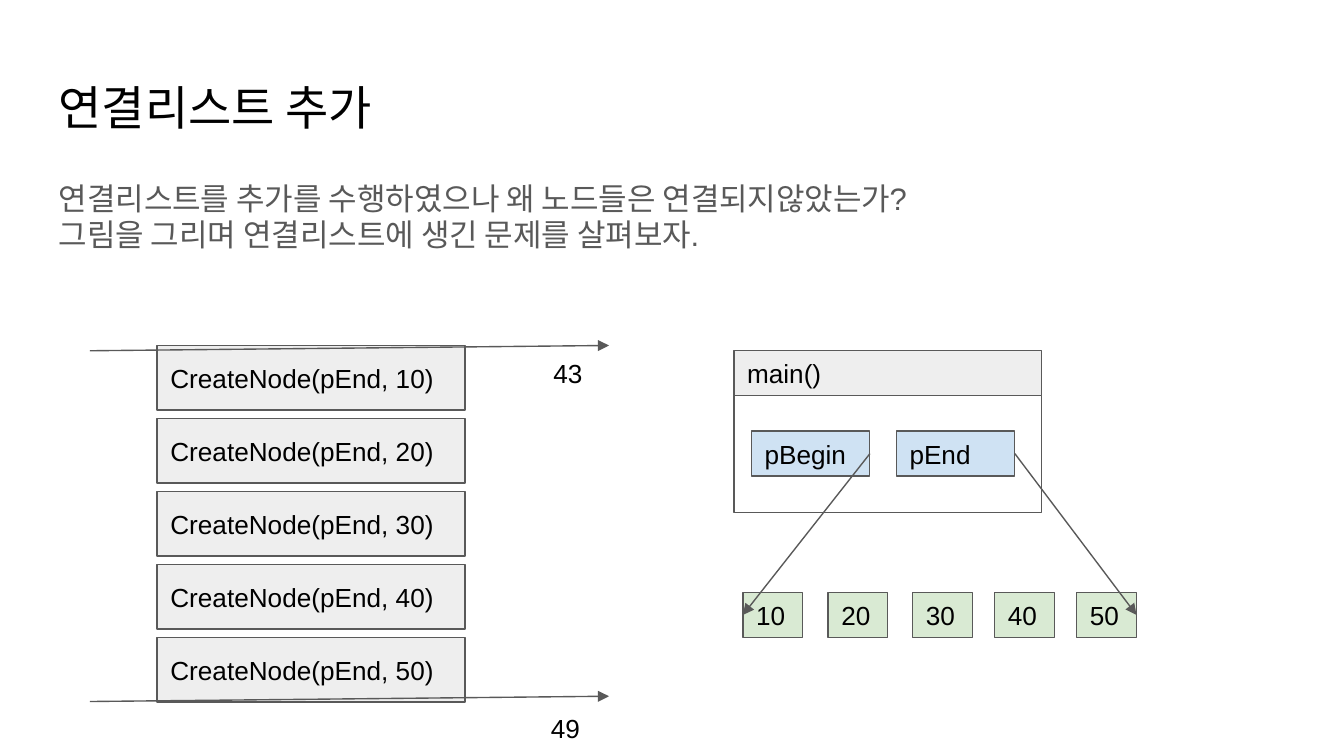
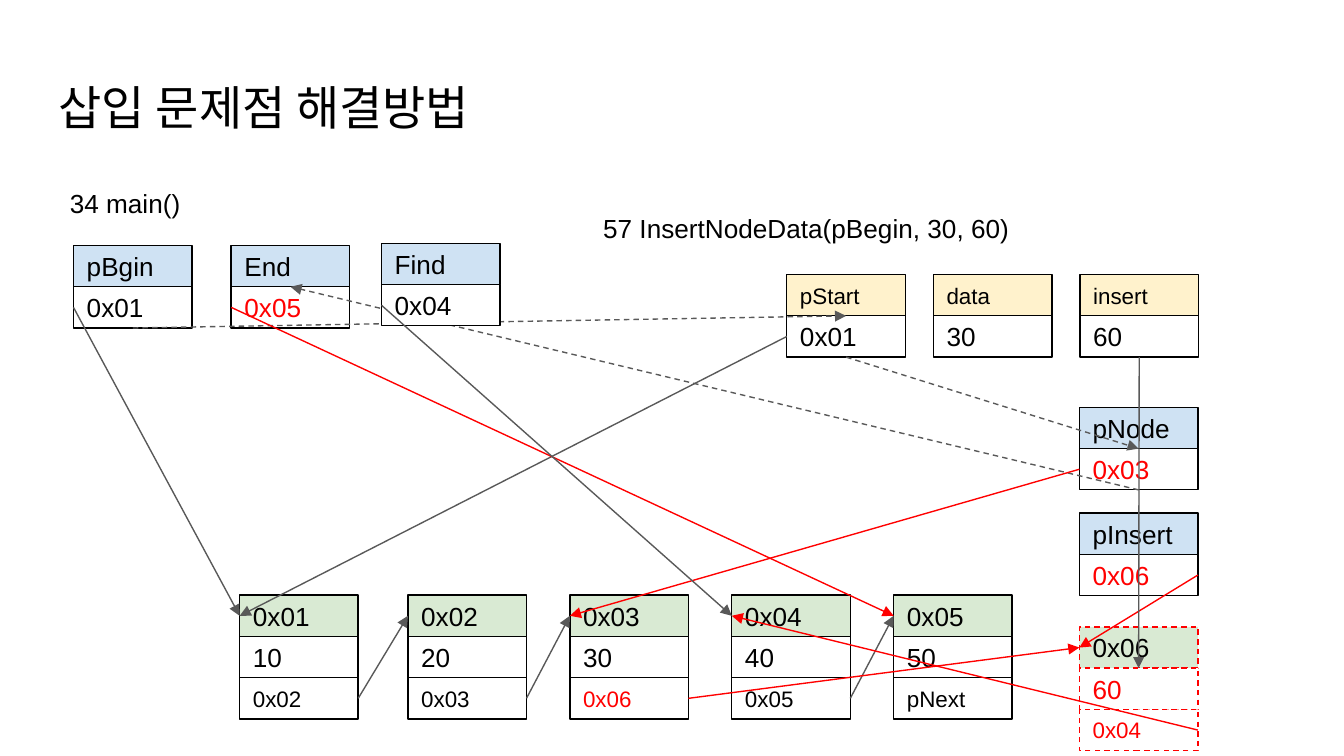
from lxml import etree
from pptx import Presentation
from pptx.dml.color import RGBColor
from pptx.enum.dml import MSO_LINE
from pptx.enum.shapes import MSO_CONNECTOR, MSO_SHAPE
from pptx.enum.text import MSO_ANCHOR, MSO_AUTO_SIZE, PP_ALIGN
from pptx.oxml.ns import qn
from pptx.util import Cm, Pt

BLACK = RGBColor(0x00, 0x00, 0x00)
WHITE = RGBColor(0xFF, 0xFF, 0xFF)
GRAY = RGBColor(0x59, 0x59, 0x59)
LIGHT_GRAY = RGBColor(0xEE, 0xEE, 0xEE)
BLUE = RGBColor(0xCF, 0xE2, 0xF3)
GREEN = RGBColor(0xD9, 0xEA, 0xD3)
YELLOW = RGBColor(0xFF, 0xF2, 0xCC)
RED = RGBColor(0xFF, 0x00, 0x00)

RECTANGLE = MSO_SHAPE.RECTANGLE
STRAIGHT = MSO_CONNECTOR.STRAIGHT
DASH = MSO_LINE.DASH
MIDDLE = MSO_ANCHOR.MIDDLE
LEFT = PP_ALIGN.LEFT
FIT_SHAPE = MSO_AUTO_SIZE.SHAPE_TO_FIT_TEXT
SIDE_LEFT, SIDE_BOTTOM, SIDE_RIGHT = 1, 2, 3

CELL_WIDTH, CELL_HEIGHT = 2.24, 0.78


class Sketch:
    font_name = "Arial"
    text_size = 14
    small_size = 12
    title_size = 25.2
    line_width = Pt(0.75)
    inset = Cm(0.25)

    def __init__(self, deck):
        self.deck = deck
        self.page = None

    def new_page(self, title):
        self.page = self.deck.slides.add_slide(self.deck.slide_layouts[6])
        self.text(title, 0.86, 1.24, 23.67, 1.6, size=self.title_size)

    def fill_text(self, frame, text, size, color):
        frame.word_wrap = True
        frame.margin_left = frame.margin_right = self.inset
        frame.margin_top = frame.margin_bottom = self.inset
        para = frame.paragraphs[0]
        para.text = text
        para.alignment = LEFT
        for span in para.runs:
            span.font.name = self.font_name
            span.font.size = Pt(size)
            span.font.color.rgb = color
        return para

    def text(self, text, left, top, width, height, size=text_size, color=BLACK):
        box = self.page.shapes.add_textbox(Cm(left), Cm(top), Cm(width), Cm(height))
        return self.fill_text(box.text_frame, text, size, color)

    def label(self, text, left, top, width):
        self.text(text, left, top, width, 1.12)
        self.page.shapes[-1].text_frame.auto_size = FIT_SHAPE

    def style_line(self, line, color, dash):
        line.color.rgb = color
        line.width = self.line_width
        if dash:
            line.dash_style = dash

    def box(self, text, left, top, width, height, fill, color=BLACK,
            size=text_size, outline=GRAY, dash=None, group=None):
        holder = group or self.page
        box = holder.shapes.add_shape(RECTANGLE, Cm(left), Cm(top), Cm(width), Cm(height))
        box.shadow.inherit = False
        box.fill.solid()
        box.fill.fore_color.rgb = fill
        self.style_line(box.line, outline, dash)
        box.text_frame.vertical_anchor = MIDDLE
        if text:
            self.fill_text(box.text_frame, text, size, color)
        return box

    def stack(self, cells, left, top, fill, red_rows=(), small_rows=(),
              outline=BLACK, dash=None):
        group = self.page.shapes.add_group_shape()
        return [
            self.box(text, left, top + row * CELL_HEIGHT, CELL_WIDTH, CELL_HEIGHT,
                     WHITE if row else fill,
                     color=RED if row in red_rows else BLACK,
                     size=self.small_size if row in small_rows else self.text_size,
                     outline=outline, dash=dash, group=group)
            for row, text in enumerate(cells)
        ]

    def arrow(self, start, end, color=GRAY, dash=None):
        points = [Cm(value) for value in (*start, *end)]
        arrow = self.page.shapes.add_connector(STRAIGHT, *points)
        self.style_line(arrow.line, color, dash)
        properties = arrow._element.spPr
        etree.SubElement(properties.find(qn("a:ln")), qn("a:tailEnd"), type="triangle")
        etree.SubElement(properties, qn("a:effectLst"))
        return arrow

    def join(self, source, source_side, target, target_side, color=GRAY, dash=None):
        arrow = self.arrow((0, 0), (1, 1), color, dash)
        arrow.begin_connect(source, source_side)
        arrow.end_connect(target, target_side)


def build_append_page(sketch):
    sketch.new_page("연결리스트 추가")
    question = sketch.text(
        "연결리스트를 추가를 수행하였으나 왜 노드들은 연결되지않았는가?\n"
        "그림을 그리며 연결리스트에 생긴 문제를 살펴보자.",
        0.86, 3.2, 23.67, 2.34, size=16.6, color=GRAY)
    question.line_spacing = 0.95
    question.space_after = Pt(12)

    values = [10, 20, 30, 40, 50]
    for index, value in enumerate(values):
        sketch.box(f"CreateNode(pEnd, {value})", 2.97, 6.53 + index * 1.38,
                   5.82, 1.22, LIGHT_GRAY)
    for top in (6.63, 13.26):
        sketch.arrow((1.7, top), (11.51, top - 0.1))
    sketch.label("43", 10.21, 6.5, 1.14)
    sketch.label("49", 10.16, 13.21, 1.27)

    main_group = sketch.page.shapes.add_group_shape()
    sketch.box("main()", 13.87, 6.63, 5.82, 0.85, LIGHT_GRAY, group=main_group)
    sketch.box("", 13.87, 7.48, 5.82, 2.21, WHITE, group=main_group)
    begin, end = [sketch.box(name, left, 8.15, 2.24, 0.85, BLUE)
                  for name, left in (("pBegin", 14.2), ("pEnd", 16.94))]
    nodes = [sketch.box(str(value), left, 11.2, 1.13, 0.85, GREEN)
             for value, left in zip(values, (14.04, 15.65, 17.25, 18.8, 20.35))]
    sketch.join(begin, SIDE_RIGHT, nodes[0], SIDE_LEFT)
    sketch.join(end, SIDE_RIGHT, nodes[-1], SIDE_RIGHT)


def build_insert_page(sketch):
    sketch.new_page("삽입 문제점 해결방법")
    sketch.label("34 main()", 1.07, 3.3, 13.94)
    sketch.label("57 InsertNodeData(pBegin, 30, 60)", 11.15, 3.76, 12.09)

    begin = sketch.stack(["pBgin", "0x01"], 1.39, 4.64, BLUE)
    end = sketch.stack(["End", "0x05"], 4.37, 4.64, BLUE, red_rows=[1])

    node_cells = [
        (4.53, "0x01", "10", "0x02"),
        (7.71, "0x02", "20", "0x03"),
        (10.77, "0x03", "30", "0x06"),
        (13.83, "0x04", "40", "0x05"),
        (16.89, "0x05", "50", "pNext"),
    ]
    nodes = [sketch.stack(cells, left, 11.25, GREEN, small_rows=[2],
                          red_rows=[2] if cells[2] == "0x06" else [])
             for left, *cells in node_cells]

    arguments = [("pStart", "0x01"), ("data", "30"), ("insert", "60")]
    start, _, insert = [
        sketch.stack(cells, 14.87 + index * 2.77, 5.19, YELLOW, small_rows=[0])
        for index, cells in enumerate(arguments)]

    found = sketch.stack(["pNode", "0x03"], 20.4, 7.7, BLUE, red_rows=[1])
    added = sketch.stack(["pInsert", "0x06"], 20.4, 9.7, BLUE, red_rows=[1])
    new_node = sketch.stack(["0x06", "60", "0x04"], 20.4, 11.85, GREEN, red_rows=[1, 2],
                            small_rows=[2], outline=RED, dash=DASH)

    for index in (0, 1, 3):
        sketch.join(nodes[index][2], SIDE_RIGHT, nodes[index + 1][0], SIDE_LEFT)
    for pointer in (begin, start):
        sketch.join(pointer[1], SIDE_LEFT, nodes[0][0], SIDE_LEFT)
    for source, target in ((begin, start), (start, found), (found, end)):
        sketch.join(source[1], SIDE_BOTTOM, target[0], SIDE_BOTTOM, dash=DASH)

    red_links = [
        (found[1], SIDE_LEFT, nodes[2]),
        (end[1], SIDE_LEFT, nodes[4]),
        (added[1], SIDE_RIGHT, new_node),
        (nodes[2][2], SIDE_RIGHT, new_node),
        (new_node[2], SIDE_RIGHT, nodes[3]),
    ]
    for cell, side, target in red_links:
        sketch.join(cell, side, target[0], SIDE_LEFT, color=RED)
    sketch.join(insert[1], SIDE_BOTTOM, new_node[0], SIDE_BOTTOM)

    find = sketch.stack(["Find", "0x04"], 7.21, 4.6, BLUE)
    sketch.join(find[1], SIDE_LEFT, nodes[3][0], SIDE_LEFT)


def main():
    deck = Presentation()
    deck.slide_width = Cm(25.4)
    deck.slide_height = Cm(14.29)
    sketch = Sketch(deck)
    build_append_page(sketch)
    build_insert_page(sketch)
    deck.save("out.pptx")


if __name__ == "__main__":
    main()
